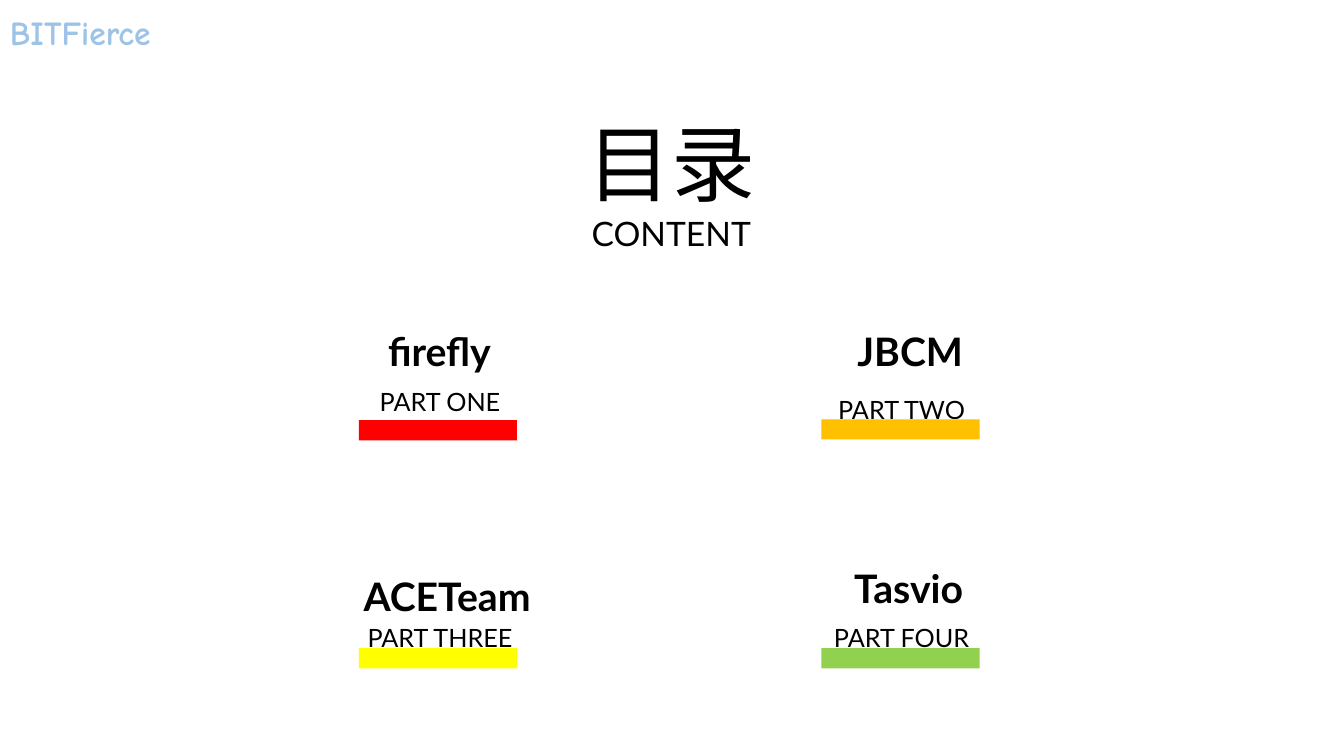
from pptx import Presentation
from pptx.dml.color import RGBColor
from pptx.enum.shapes import MSO_SHAPE
from pptx.enum.text import MSO_AUTO_SIZE, PP_ALIGN
from pptx.util import Pt

RECTANGLE = MSO_SHAPE.RECTANGLE
GROW = MSO_AUTO_SIZE.SHAPE_TO_FIT_TEXT
LEFT, CENTER = PP_ALIGN.LEFT, PP_ALIGN.CENTER

BLACK = RGBColor(0x00, 0x00, 0x00)
WHITE = RGBColor(0xFF, 0xFF, 0xFF)
SKY = RGBColor(0x9D, 0xC3, 0xE6)
RED = RGBColor(0xFF, 0x00, 0x00)
ORANGE = RGBColor(0xFF, 0xC0, 0x00)
YELLOW = RGBColor(0xFF, 0xFF, 0x00)
GREEN = RGBColor(0x92, 0xD0, 0x50)

TEAM = "BITFierce"
HEADING = [("目录", 60), ("CONTENT", 24)]
# name, name centre, name top, name width, label, label top, bar top, bar colour
PARTS = [
    ("firefly", 313.9, 220.3, 197.3, "PART ONE", 265.7, 300.2, RED),
    ("JBCM", 650.2, 220.3, 204.5, "PART TWO", 271.4, 299.5, ORANGE),
    ("ACETeam", 319.3, 395.3, 151.9, "PART THREE", 434.2, 463, YELLOW),
    ("Tasvio", 649.1, 389.5, 151.9, "PART FOUR", 434.2, 463, GREEN),
]
LABEL_LEFTS, LABEL_WIDTH, LABEL_HEIGHT = (243.4, 573.1), 141.8, 28.1
BAR_LEFTS, BAR_WIDTH, BAR_HEIGHT = (256.3, 586.8), 113, 14.4
NAME_HEIGHT = 51.1


def add_text(page, box, lines, bold=None, font="Lato", color=BLACK,
             align=CENTER, spacing=None, wrap=True):
    """Add a text box with one paragraph for each (text, size) line."""
    frame = page.shapes.add_textbox(*map(Pt, box)).text_frame
    frame.word_wrap = wrap
    frame.auto_size = GROW
    for index, (text, size) in enumerate(lines):
        para = frame.add_paragraph() if index else frame.paragraphs[0]
        para.alignment = align
        para.line_spacing = spacing
        span = para.add_run()
        span.text = text
        span.font.size = Pt(size)
        span.font.name = font
        span.font.bold = bold
        span.font.color.rgb = color


def add_bar(page, left, top, color):
    bar = page.shapes.add_shape(
        RECTANGLE, Pt(left), Pt(top), Pt(BAR_WIDTH), Pt(BAR_HEIGHT))
    bar.shadow.inherit = False
    bar.fill.solid()
    bar.fill.fore_color.rgb = color
    bar.line.fill.background()


def main():
    deck = Presentation()
    deck.slide_width, deck.slide_height = Pt(960), Pt(540)
    page = deck.slides.add_slide(deck.slide_layouts[6])
    page.background.fill.solid()
    page.background.fill.fore_color.rgb = WHITE

    add_text(page, (411.8, 76.3, 135.4, 108.7), HEADING, wrap=False)
    add_text(page, (0, 5, 159.1, 36), [(TEAM, 24)], bold=True,
             font="Comic Neue", color=SKY, align=LEFT)

    for index, part in enumerate(PARTS):
        name, center, name_top, width, label, label_top, bar_top, color = part
        column = index % 2
        add_text(page, (LABEL_LEFTS[column], label_top, LABEL_WIDTH, LABEL_HEIGHT),
                 [(label, 18)], spacing=1.3)
        add_text(page, (center - width / 2, name_top, width, NAME_HEIGHT),
                 [(name, 28)], bold=True, spacing=1.3)
        add_bar(page, BAR_LEFTS[column], bar_top, color)

    deck.save("out.pptx")


if __name__ == "__main__":
    main()
